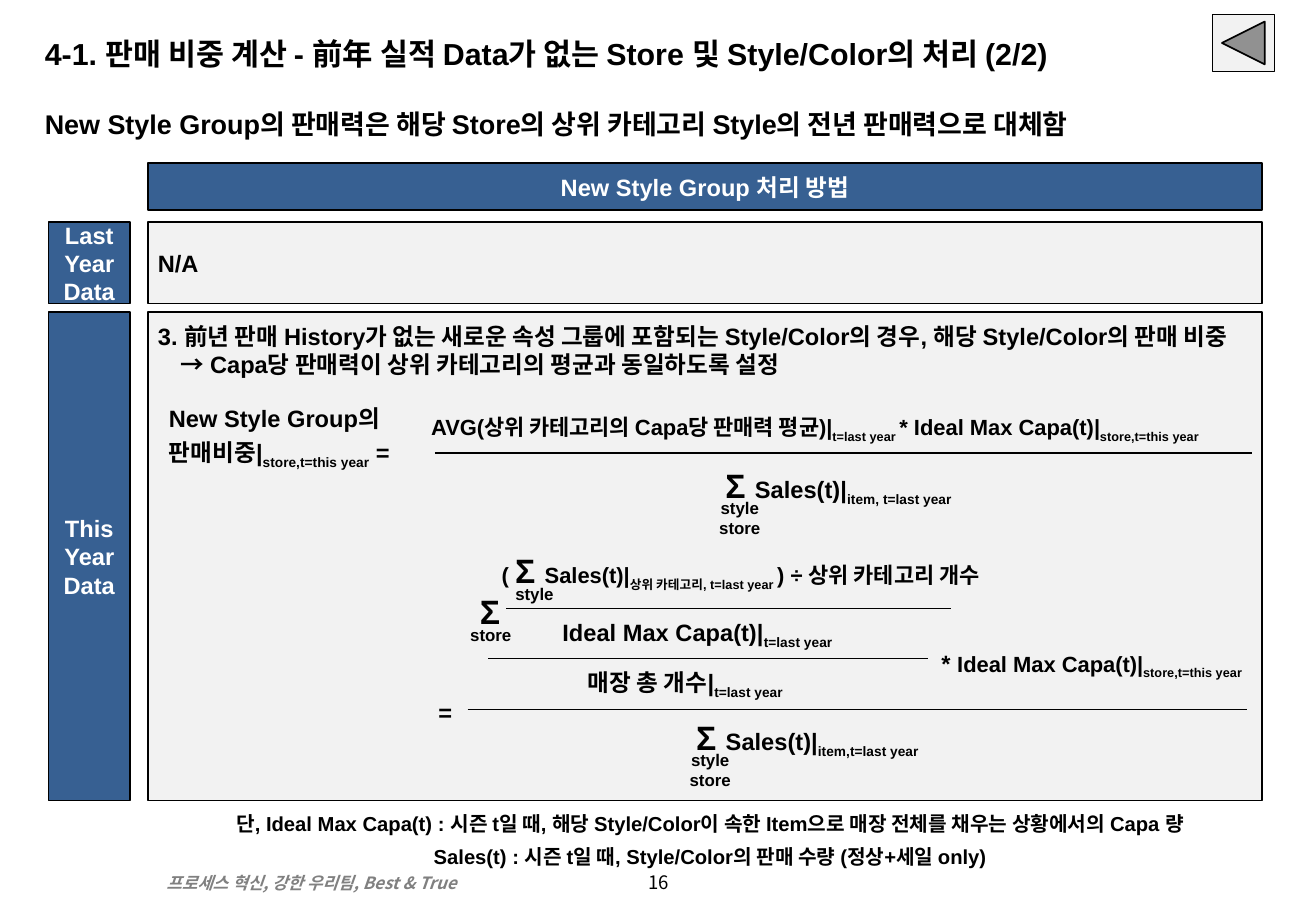
import dataclasses
import typing

import lxml.etree
import pptx
import pptx.dml.color
import pptx.enum.shapes
import pptx.enum.text
import pptx.oxml.ns
import pptx.util

Pt = pptx.util.Pt
RGBColor = pptx.dml.color.RGBColor
Align = pptx.enum.text.PP_ALIGN
Anchor = pptx.enum.text.MSO_ANCHOR
Preset = pptx.enum.shapes.MSO_SHAPE

BLACK = RGBColor(0x00, 0x00, 0x00)
WHITE = RGBColor(0xFF, 0xFF, 0xFF)
GREY = RGBColor(0x80, 0x80, 0x80)
PALE = RGBColor(0xF2, 0xF2, 0xF2)
BLUE = RGBColor(0x37, 0x60, 0x92)
LATIN, KOREAN = "Arial", "Noto Sans CJK KR"


@dataclasses.dataclass(frozen=True)
class Span:
    text: str
    size: float = 14
    low: bool = False


@dataclasses.dataclass(frozen=True)
class Style:
    color: RGBColor = BLACK
    font: str = LATIN
    bold: bool = True
    italic: bool = False
    align: Align = Align.LEFT
    anchor: Anchor = Anchor.MIDDLE
    spacing: float = 1.0
    before: float = 0
    hanging: float = 0
    insets: tuple[float, float, float, float] = (2.9, 0, 2.9, 0)
    wrap: bool = True


@dataclasses.dataclass(frozen=True)
class Label:
    left: float
    top: float
    width: float
    height: float
    lines: tuple[tuple[Span, ...], ...]
    style: Style


@dataclasses.dataclass(frozen=True)
class Panel(Label):
    fill: RGBColor = PALE


@dataclasses.dataclass(frozen=True)
class Rule:
    left: float
    right: float
    top: float


HEADING = Style(anchor=Anchor.TOP, insets=(7.2, 3.6, 7.2, 3.6))
FORMULA = Style(spacing=1.2)
INDEX = Style(align=Align.CENTER, insets=(3.6, 0, 0, 0))
NOTE = Style(align=Align.CENTER, spacing=1.2, before=2.4, insets=(3.6, 0, 0, 0))
CELL = Style(hanging=13.7, insets=(5.8, 0, 5.8, 0))
STEP = Style(anchor=Anchor.TOP, hanging=13.7, insets=(5.8, 5.8, 5.8, 0))
HEADER = Style(color=WHITE, align=Align.CENTER, insets=(4.3, 0, 4.3, 0), wrap=False)
FOOTER = Style(color=GREY, font=KOREAN, italic=True, anchor=Anchor.TOP,
               insets=(7.2, 3.6, 7.2, 3.6))
NUMBER = Style(font=KOREAN, bold=False, align=Align.CENTER, spacing=0.8)


def plain(size: float, *texts: str) -> tuple[tuple[Span, ...], ...]:
    return tuple((Span(text, size),) for text in texts)


def formula(left: float, top: float, width: float, *spans: Span) -> Label:
    return Label(left, top, width, 33.8, (spans,), FORMULA)


def index(left: float, top: float, width: float, *texts: str) -> Label:
    return Label(left, top, width, 12.2 * len(texts), plain(10, *texts), INDEX)


# Grid of the table-like panels
RAIL_LEFT, RAIL_WIDTH = 28.8, 48.3
MAIN_LEFT, MAIN_WIDTH = 87.8, 660.3
LAST_YEAR, THIS_YEAR = (131.8, 48.2), (185, 289.5)

PANELS = (
    Panel(MAIN_LEFT, THIS_YEAR[0], MAIN_WIDTH, THIS_YEAR[1], plain(
        14, "3. 前년 판매 History가 없는 새로운 속성 그룹에 포함되는 Style/Color의 경우, "
        "해당 Style/Color의 판매 비중 → Capa당 판매력이 상위 카테고리의 평균과 동일하도록 설정"), STEP),
    Panel(MAIN_LEFT, LAST_YEAR[0], MAIN_WIDTH, LAST_YEAR[1], plain(14, "N/A"), CELL),
    Panel(MAIN_LEFT, 96.5, MAIN_WIDTH, 28.2,
          plain(14, "New Style Group 처리 방법"), HEADER, BLUE),
    Panel(RAIL_LEFT, LAST_YEAR[0], RAIL_WIDTH, LAST_YEAR[1],
          plain(14, "Last", "Year", "Data"), HEADER, BLUE),
    Panel(RAIL_LEFT, THIS_YEAR[0], RAIL_WIDTH, THIS_YEAR[1],
          plain(14, "This", "Year", "Data"), HEADER, BLUE),
)

LABELS = (
    # Headings and footer
    Label(354.5, 513.5, 72, 21.6, plain(11, "16"), NUMBER),
    Label(91.5, 513.5, 239, 19.5,
          plain(10, "프로세스 혁신, 강한 우리팀, Best & True"), FOOTER),
    Label(19.5, 17.3, 737.3, 33.1, plain(
        18, "4-1. 판매 비중 계산 - 前年 실적 Data가 없는 Store 및 Style/Color의 처리 (2/2)"), HEADING),
    Label(19.5, 60.5, 738.7, 59.8, plain(
        16, "New Style Group의 판매력은 해당 Store의 상위 카테고리 Style의 전년 판매력으로 대체함"), HEADING),
    # Left side of the equation
    formula(97.2, 229, 143.3, Span("New Style Group의")),
    formula(97.2, 250.6, 160.6, Span("판매비중|"),
            Span("store,t=this year", low=True), Span(" =")),
    # First fraction
    formula(252.7, 235.4, 520, Span("AVG(상위 카테고리의 Capa당 판매력 평균)|", 13),
            Span("t=last year ", 13, True), Span("* Ideal Max Capa(t)|", 13),
            Span("store,t=this year", 13, True)),
    index(406.8, 294.5, 59.8, "style", "store"),
    formula(427, 268.6, 188, Span("Σ ", 20), Span("Sales(t)|"),
            Span("item, t=last year", low=True)),
    # Second fraction
    formula(294.5, 319, 364.3, Span("( ", 13), Span("Σ ", 20), Span("Sales(t)|", 13),
            Span("상위 카테고리, t=last year ", 13, True),
            Span(") ÷ 상위 카테고리 개수", 13)),
    index(296.6, 345.6, 36.7, "style"),
    formula(281.5, 342.7, 26, Span("Σ", 20)),
    index(270.7, 370.1, 36.7, "store"),
    formula(330.5, 357.1, 201.6, Span("Ideal Max Capa(t)|"), Span("t=last year", low=True)),
    formula(345.6, 386.6, 170, Span("매장 총 개수|"), Span("t=last year", low=True)),
    formula(555.1, 375.1, 200.2, Span("* "), Span("Ideal Max Capa(t)|", 13),
            Span("store,t=this year", 13, True)),
    formula(257, 403.6, 24, Span("=")),
    index(391, 444.2, 56.2, "style", "store"),
    formula(409.7, 418.3, 175.7, Span("Σ ", 20), Span("Sales(t)|"),
            Span("item,t=last year", low=True)),
    # Definitions
    Label(101.5, 477.4, 635, 38.2, plain(
        12, "단, Ideal Max Capa(t) : 시즌 t일 때, 해당 Style/Color이 속한 Item으로 "
        "매장 전체를 채우는 상황에서의 Capa 량",
        "Sales(t) : 시즌 t일 때, Style/Color의 판매 수량 (정상+세일 only)"), NOTE),
)

FRACTION_BARS = (Rule(257.8, 742.3, 268.6), Rule(300.2, 563.8, 360.7),
                 Rule(289.4, 550.1, 390.2), Rule(277.2, 739.4, 420.5))


def write_text(box: typing.Any, label: Label) -> None:
    style, frame = label.style, box.text_frame
    frame.word_wrap = style.wrap
    frame.vertical_anchor = style.anchor
    (frame.margin_left, frame.margin_top,
     frame.margin_right, frame.margin_bottom) = map(Pt, style.insets)
    for number, spans in enumerate(label.lines):
        para = frame.add_paragraph() if number else frame.paragraphs[0]
        para.alignment = style.align
        para.line_spacing = style.spacing
        if number:
            para.space_before = Pt(style.before)
        properties = para._p.get_or_add_pPr()
        if style.hanging:
            properties.set("marL", str(Pt(style.hanging)))
            properties.set("indent", str(-Pt(style.hanging)))
        para.font.name = style.font
        para.font.bold = style.bold
        para.font.italic = style.italic
        para.font.color.rgb = style.color
        lxml.etree.SubElement(properties.get_or_add_defRPr(), pptx.oxml.ns.qn("a:ea"),
                              typeface=KOREAN)
        same_size = len({span.size for span in spans}) == 1
        if same_size:
            para.font.size = Pt(spans[0].size)
        for span in spans:
            run = para.add_run()
            run.text = span.text
            if not same_size:
                run.font.size = Pt(span.size)
            if span.low:
                run._r.get_or_add_rPr().set("baseline", "-25000")


def draw_shape(page: typing.Any, preset: Preset, left: float, top: float,
               width: float, height: float, fill: RGBColor) -> typing.Any:
    shape = page.shapes.add_shape(preset, Pt(left), Pt(top), Pt(width), Pt(height))
    shape.shadow.inherit = False
    shape.fill.solid()
    shape.fill.fore_color.rgb = fill
    shape.line.color.rgb = BLACK
    shape.line.width = Pt(1)
    return shape


def draw_rule(page: typing.Any, rule: Rule) -> None:
    line = page.shapes.add_connector(pptx.enum.shapes.MSO_CONNECTOR.STRAIGHT, Pt(rule.left),
                                     Pt(rule.top), Pt(rule.right), Pt(rule.top))
    line.line.color.rgb = BLACK
    line.line.width = Pt(0.75)
    lxml.etree.SubElement(line._element.spPr, pptx.oxml.ns.qn("a:effectLst"))


def main() -> None:
    deck = pptx.Presentation()
    deck.slide_width, deck.slide_height = Pt(780), Pt(540)
    page = deck.slides.add_slide(deck.slide_layouts[6])
    for panel in PANELS:
        write_text(draw_shape(page, Preset.RECTANGLE, panel.left, panel.top,
                              panel.width, panel.height, panel.fill), panel)
    for label in LABELS:
        write_text(page.shapes.add_textbox(Pt(label.left), Pt(label.top),
                                           Pt(label.width), Pt(label.height)), label)
    for rule in FRACTION_BARS:
        draw_rule(page, rule)
    # Back button
    draw_shape(page, Preset.ACTION_BUTTON_BACK_OR_PREVIOUS, 718.6, 8.6, 36.7, 33.8, PALE)
    deck.save("out.pptx")


if __name__ == "__main__":
    main()
